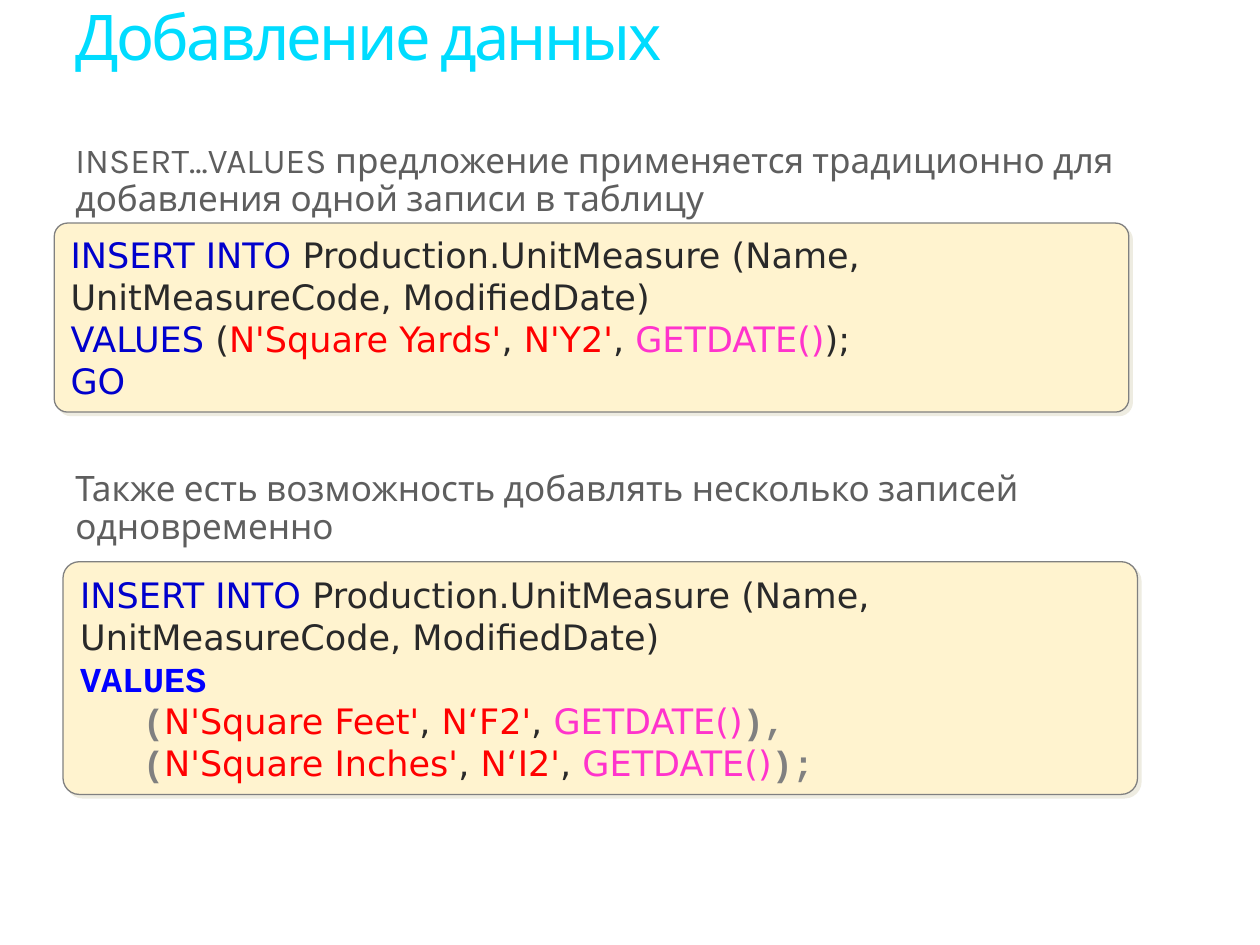
from dataclasses import dataclass

import lxml.etree
import pptx
import pptx.dml.color
import pptx.enum.shapes
import pptx.enum.text
import pptx.oxml
import pptx.oxml.ns
import pptx.slide
import pptx.text.text
import pptx.util

Pt = pptx.util.Pt
RGBColor = pptx.dml.color.RGBColor

CYAN = RGBColor(0x00, 0xDC, 0xFF)
TEXT_GRAY = RGBColor(0x5E, 0x5E, 0x5E)
GRAY = RGBColor(0x80, 0x80, 0x80)
DARK = RGBColor(0x29, 0x29, 0x29)
NAVY = RGBColor(0x00, 0x00, 0xCC)
BLUE = RGBColor(0x00, 0x00, 0xFF)
RED = RGBColor(0xFF, 0x00, 0x00)
PINK = RGBColor(0xFF, 0x33, 0xCC)
CREAM = RGBColor(0xFF, 0xF3, 0xCF)
SHADOW = RGBColor(0xEE, 0xEC, 0xE1)


@dataclass(frozen=True)
class Style:
    font: str
    color: RGBColor
    size: float = 20
    bold: bool = False
    spacing: float = 0


TITLE = Style("Karla", CYAN, 36, spacing=-1.5)
BODY = Style("Karla", TEXT_GRAY)
KEYWORD = Style("DejaVu Sans", NAVY)
PLAIN = Style("DejaVu Sans", DARK)
STRING = Style("DejaVu Sans", RED)
FUNCTION = Style("DejaVu Sans", PINK)
MONO_KEYWORD = Style("Courier New", BLUE, bold=True)
MONO_PLAIN = Style("Courier New", GRAY, bold=True)

Line = list[tuple[str, Style]]


@dataclass(frozen=True)
class Caption:
    text: str
    style: Style
    left: float
    top: float
    width: float
    height: float


@dataclass(frozen=True)
class CodeBox:
    left: float
    top: float
    width: float
    height: float
    lines: list[Line]


def value_row(name: str, code: str, opening: Line, closing: tuple[str, Style]) -> Line:
    """One row of inserted values between its brackets."""
    return [*opening, (name, STRING), (", ", PLAIN), (code, STRING),
            (", ", PLAIN), ("GETDATE()", FUNCTION), closing]


INSERT_LINE: Line = [
    ("INSERT INTO ", KEYWORD),
    ("Production.UnitMeasure (Name, UnitMeasureCode, ModifiedDate)", PLAIN),
]

CAPTIONS = [
    Caption("Добавление данных", TITLE, 36, 0, 612, 58),
    Caption("INSERT...VALUES предложение применяется традиционно для "
            "добавления одной записи в таблицу", BODY, 36, 78.5, 610.5, 49),
    Caption("Также есть возможность добавлять несколько записей одновременно",
            BODY, 36, 266, 610.5, 49),
]

CODE_BOXES = [
    CodeBox(31, 127.5, 614, 108, [
        INSERT_LINE,
        value_row("N'Square Yards'", "N'Y2'",
                  [("VALUES", KEYWORD), (" (", PLAIN)], (");", PLAIN)),
        [("GO", KEYWORD)],
    ]),
    CodeBox(36, 321, 614, 133, [
        INSERT_LINE,
        [("VALUES", MONO_KEYWORD)],
        value_row("N'Square Feet'", "N‘F2'", [("\t(", MONO_PLAIN)], ("),", MONO_PLAIN)),
        value_row("N'Square Inches'", "N‘I2'", [("\t(", MONO_PLAIN)], (");", MONO_PLAIN)),
    ]),
]


def add_run(paragraph: pptx.text.text._Paragraph, text: str, style: Style) -> None:
    run = paragraph.add_run()
    run.text = text
    run.font.name = style.font
    run.font.size = Pt(style.size)
    run.font.bold = style.bold
    run.font.color.rgb = style.color
    if style.spacing:
        run.font._element.set("spc", str(round(style.spacing * 100)))


def add_caption(slide: pptx.slide.Slide, caption: Caption) -> None:
    shape = slide.shapes.add_textbox(Pt(caption.left), Pt(caption.top),
                                     Pt(caption.width), Pt(caption.height))
    shape.text_frame.word_wrap = True
    paragraph = shape.text_frame.paragraphs[0]
    paragraph.line_spacing = 0.9
    add_run(paragraph, caption.text, caption.style)


def add_code_box(slide: pptx.slide.Slide, box: CodeBox) -> None:
    shape = slide.shapes.add_shape(
        pptx.enum.shapes.MSO_SHAPE.ROUNDED_RECTANGLE,
        Pt(box.left), Pt(box.top), Pt(box.width), Pt(box.height))
    shape.adjustments[0] = 0.07
    shape.fill.solid()
    shape.fill.fore_color.rgb = CREAM
    shape.line.color.rgb = GRAY
    shape.line.width = Pt(0.75)

    # Soft offset shadow, down and to the right
    shape.shadow.inherit = False
    effects = shape._element.spPr.find(pptx.oxml.ns.qn("a:effectLst"))
    outer = lxml.etree.SubElement(
        effects, pptx.oxml.ns.qn("a:outerShdw"),
        dist=str(Pt(2.8)), dir=str(45 * 60000), algn="ctr", rotWithShape="0")
    lxml.etree.SubElement(outer, pptx.oxml.ns.qn("a:srgbClr"), val=str(SHADOW))

    # Code lines
    frame = shape.text_frame
    frame.word_wrap = True
    frame.auto_size = pptx.enum.text.MSO_AUTO_SIZE.SHAPE_TO_FIT_TEXT
    frame.vertical_anchor = pptx.enum.text.MSO_ANCHOR.MIDDLE
    for index, line in enumerate(box.lines):
        paragraph = frame.add_paragraph() if index else frame.paragraphs[0]
        paragraph.alignment = pptx.enum.text.PP_ALIGN.LEFT
        for text, style in line:
            add_run(paragraph, text, style)


def main() -> None:
    presentation = pptx.Presentation()
    presentation.slide_width = Pt(720)
    presentation.slide_height = Pt(540)
    slide = presentation.slides.add_slide(presentation.slide_layouts[6])

    # Title and explanations
    for caption in CAPTIONS:
        add_caption(slide, caption)

    # SQL examples
    for box in CODE_BOXES:
        add_code_box(slide, box)

    presentation.save("out.pptx")


if __name__ == "__main__":
    main()
